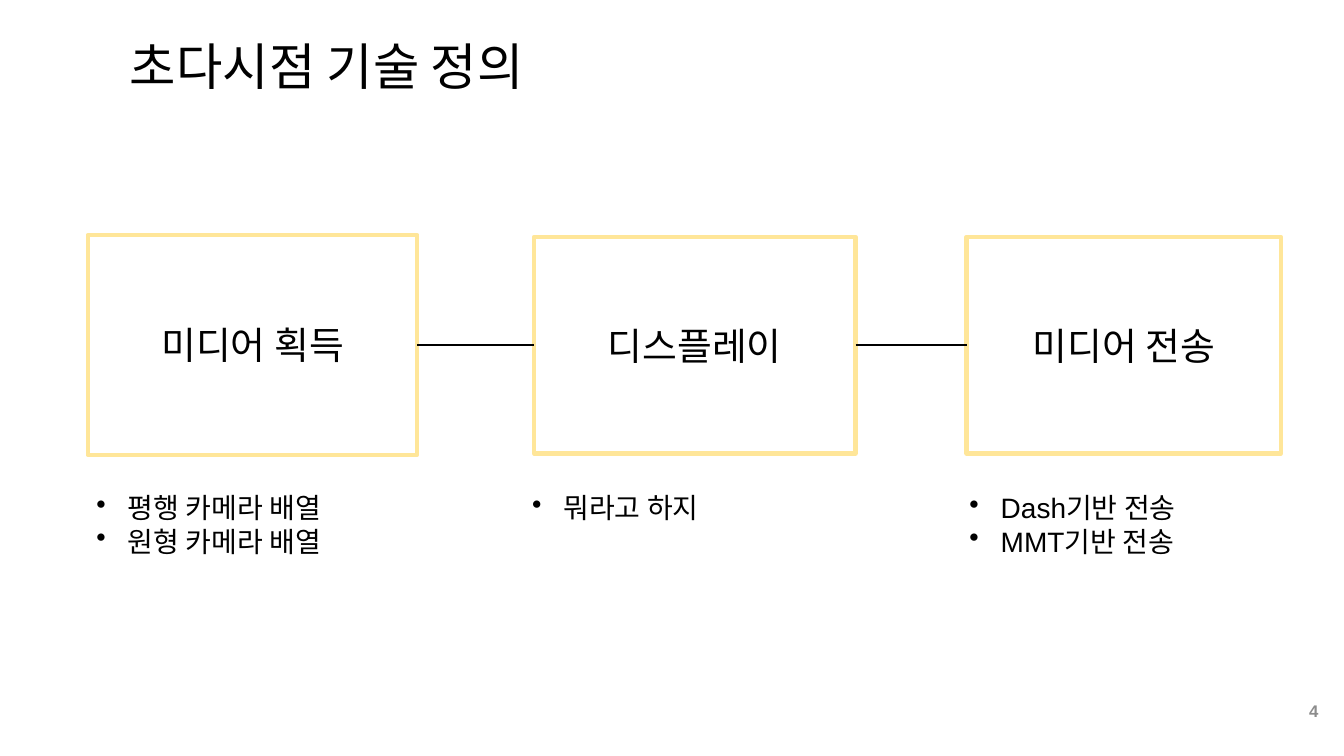
import pptx
import pptx.util
import pptx.dml.color
import pptx.enum.shapes
import pptx.enum.text
import lxml.etree
from pptx.util import Cm

COLORS = {"white": "FFFFFF", "border": "FFE699", "text": "000000", "number": "8C8C8C"}
ALIGN = pptx.enum.text.PP_ALIGN
INDENT = Cm(0.79)


def rgb(name):
    return pptx.dml.color.RGBColor.from_string(COLORS[name])


def write(shape, *lines, size, color="text", bold=False, align=ALIGN.LEFT,
          anchor=pptx.enum.text.MSO_ANCHOR.MIDDLE, spacing=None, bullet=None):
    """Fill the shape with one paragraph per line."""
    frame = shape.text_frame
    frame.word_wrap = True
    frame.auto_size = pptx.enum.text.MSO_AUTO_SIZE.NONE
    frame.vertical_anchor = anchor
    frame.text = "\n".join(lines)
    for paragraph in frame.paragraphs:
        paragraph.alignment = align
        if spacing:
            paragraph.line_spacing = spacing
        if bullet:
            properties = paragraph._p.get_or_add_pPr()
            properties.set("marL", str(INDENT))
            properties.set("indent", str(-INDENT))
            mark = lxml.etree.SubElement(properties, pptx.oxml.ns.qn("a:buChar"))
            mark.set("char", bullet)
        for run in paragraph.runs:
            run.font.name = "Arial"
            run.font.size = pptx.util.Pt(size)
            run.font.bold = bold
            run.font.color.rgb = rgb(color)


deck = pptx.Presentation()
deck.slide_width, deck.slide_height = Cm(33.87), Cm(19.05)
slide = deck.slides.add_slide(deck.slide_layouts[5])
shapes = slide.shapes

title = shapes.title
title.left, title.top, title.width, title.height = Cm(3.02), Cm(0.3), Cm(22.83), Cm(2.87)
write(title, "초다시점 기술 정의", size=36, spacing=0.9)

# stage name, box (left, top, width, height), list (left, width), list items
stages = [
    ("미디어 획득", (2.21, 5.92, 8.31, 5.54), (2.18, 7.5), ["평행 카메라 배열", "원형 카메라 배열"]),
    ("디스플레이", (13.46, 5.97, 8.1, 5.46), (13.16, 5.13), ["뭐라고 하지"]),
    ("미디어 전송", (24.36, 5.97, 7.92, 5.46), (24.18, 7.47), ["Dash기반 전송", "MMT기반 전송"]),
]
for name, box, (list_left, list_width), items in stages:
    stage = shapes.add_shape(pptx.enum.shapes.MSO_SHAPE.RECTANGLE, *map(Cm, box))
    stage.shadow.inherit = False
    stage.fill.solid()
    stage.fill.fore_color.rgb = rgb("white")
    stage.line.color.rgb = rgb("border")
    stage.line.width = pptx.util.Pt(3)
    write(stage, name, size=27, align=ALIGN.CENTER)

    details = shapes.add_textbox(Cm(list_left), Cm(12.24), Cm(list_width), Cm(0.25 + 1.0 * len(items)))
    write(details, *items, size=20, anchor=pptx.enum.text.MSO_ANCHOR.TOP, bullet="•")

for (_, before, _, _), (_, after, _, _) in zip(stages, stages[1:]):
    link = shapes.add_connector(pptx.enum.shapes.MSO_CONNECTOR.STRAIGHT,
                                Cm(before[0] + before[2]), Cm(8.69), Cm(after[0]), Cm(8.69))
    link.line.color.rgb = rgb("text")
    link.line.width = pptx.util.Pt(1.5)
    lxml.etree.SubElement(link._element.spPr, pptx.oxml.ns.qn("a:effectLst"))

page_number = shapes.add_textbox(Cm(25.86), Cm(17.4), Cm(7.62), Cm(1.02))
write(page_number, "4", size=12, color="number", bold=True, align=ALIGN.RIGHT)

deck.save("out.pptx")
